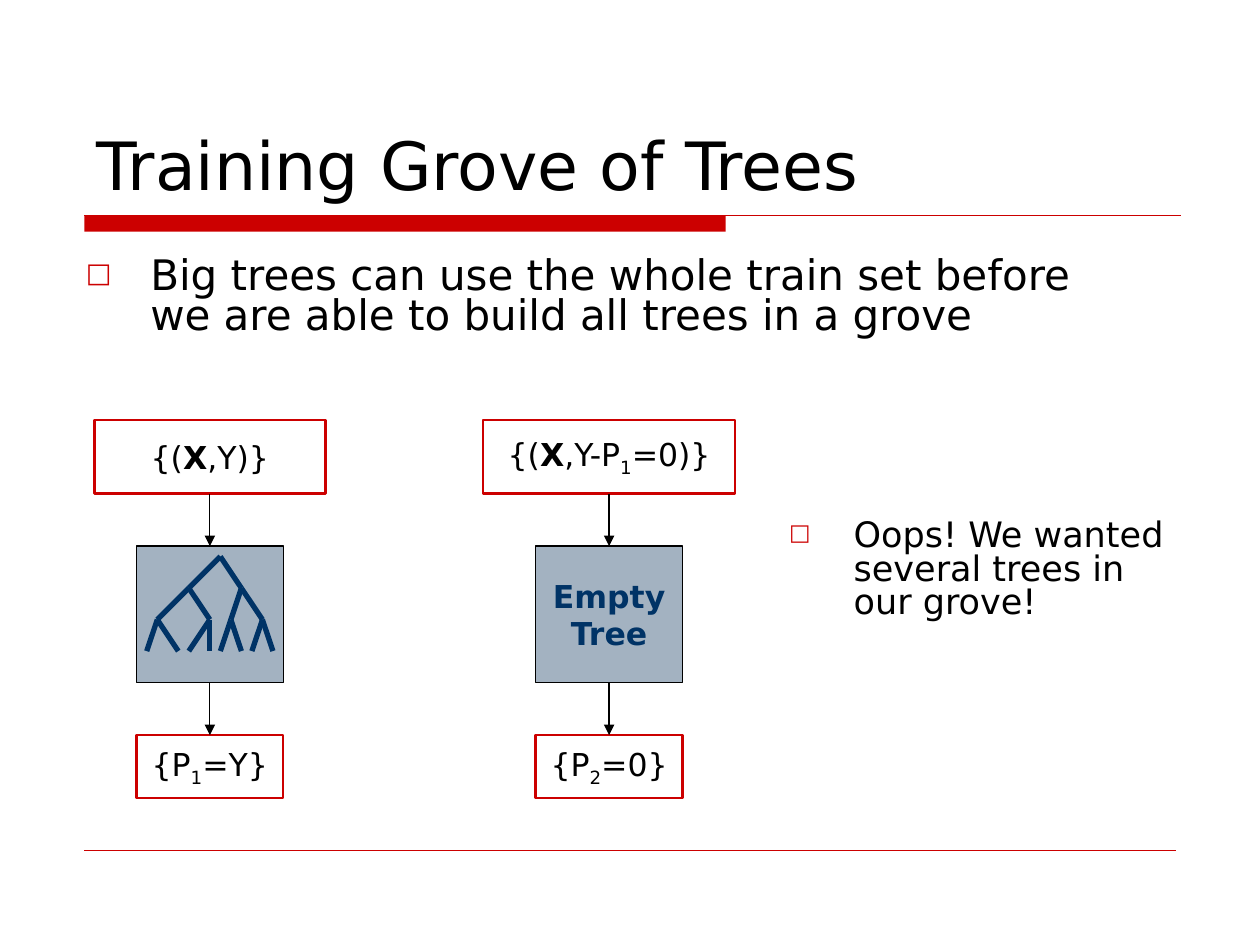
from dataclasses import dataclass
from lxml.etree import SubElement
from pptx import Presentation
from pptx.dml.color import RGBColor
from pptx.enum.shapes import MSO_CONNECTOR, MSO_SHAPE
from pptx.enum.text import MSO_ANCHOR, MSO_AUTO_SIZE, PP_ALIGN
from pptx.oxml.ns import qn
from pptx.util import Cm, Pt


@dataclass(frozen=True)
class Theme:
    font: str = "DejaVu Sans"
    red: RGBColor = RGBColor(0xCC, 0x00, 0x00)
    navy: RGBColor = RGBColor(0x00, 0x33, 0x66)
    slate: RGBColor = RGBColor(0xA3, 0xB2, 0xC1)
    black: RGBColor = RGBColor(0x00, 0x00, 0x00)
    white: RGBColor = RGBColor(0xFF, 0xFF, 0xFF)
    title: int = 38
    claim: int = 24
    remark: int = 20
    label: int = 18


theme = Theme()


def add_runs(paragraph, runs, size, color):
    for text, style in runs:
        run = paragraph.add_run()
        run.text = text
        run.font.name = theme.font
        run.font.size = Pt(size)
        run.font.color.rgb = color
        run.font.bold = style == "bold"
        if style == "sub":
            run._r.get_or_add_rPr().set("baseline", "-25000")


def add_line(start, end, color, width):
    line = slide.shapes.add_connector(
        MSO_CONNECTOR.STRAIGHT, *(Cm(value) for value in (*start, *end)))
    line.line.color.rgb = color
    line.line.width = Pt(width)
    SubElement(line._element.spPr, qn("a:effectLst"))
    return line


deck = Presentation()
deck.slide_width, deck.slide_height = Cm(25.4), Cm(19.05)
slide = deck.slides.add_slide(deck.slide_layouts[5])

title = slide.shapes.title
title.left, title.top, title.width, title.height = Cm(1.7), Cm(0.85), Cm(22.23), Cm(3.39)
title.text_frame.vertical_anchor = MSO_ANCHOR.BOTTOM
title.text_frame.auto_size = MSO_AUTO_SIZE.NONE
heading = title.text_frame.paragraphs[0]
heading.alignment = PP_ALIGN.LEFT
add_runs(heading, [("Training Grove of Trees", "")], theme.title, theme.black)

title_bar = slide.shapes.add_shape(
    MSO_SHAPE.RECTANGLE, Cm(1.7), Cm(4.35), Cm(12.93), Cm(0.32))
title_bar.shadow.inherit = False
title_bar.fill.solid()
title_bar.fill.fore_color.rgb = theme.red
title_bar.line.fill.background()
add_line((1.7, 4.35), (23.8, 4.35), theme.red, 0.75)
add_line((1.7, 17.15), (23.7, 17.15), theme.red, 0.25)

notes = [
    ("Big trees can use the whole train set before we are able to build all trees in a grove",
     (1.48, 5.08, 21.8, 2.75), theme.claim, 6),
    ("Oops! We wanted several trees in our grove!",
     (15.66, 10.37, 8.47, 2.96), theme.remark, 5),
]
for wording, place, size, space in notes:
    note = slide.shapes.add_textbox(*(Cm(value) for value in place))
    note.text_frame.word_wrap = True
    point = note.text_frame.paragraphs[0]
    point.line_spacing = 0.8
    point.space_before = Pt(space)
    properties = point._p.get_or_add_pPr()
    properties.set("marL", str(Cm(1.3)))
    properties.set("indent", str(-Cm(1.3)))
    SubElement(SubElement(properties, qn("a:buClr")), qn("a:srgbClr"), val=str(theme.red))
    SubElement(properties, qn("a:buSzPct"), val="65000")
    SubElement(properties, qn("a:buFont"), typeface=theme.font)
    SubElement(properties, qn("a:buChar"), char="□")
    add_runs(point, [(wording, "")], size, theme.black)

data_row, tree_row, result_row = (8.47, 1.48), (11.01, 2.75), (14.82, 1.27)
tree_width = 2.96
first_center, second_center = 4.23, 12.28
columns = [
    (first_center, 4.66, [("{(", ""), ("X", "bold"), (",Y)}", "")], [],
     [("{P", ""), ("1", "sub"), ("=Y}", "")]),
    (second_center, 5.08,
     [("{(", ""), ("X", "bold"), (",Y-P", ""), ("1", "sub"), ("=0)}", "")],
     [[("Empty", "bold")], [("Tree", "bold")]],
     [("{P", ""), ("2", "sub"), ("=0}", "")]),
]
for center, data_width, data, tree, result in columns:
    stages = [
        (data_row, data_width, [data], theme.white, theme.red, 1.5, theme.black),
        (tree_row, tree_width, tree, theme.slate, theme.black, 0.75, theme.navy),
        (result_row, tree_width, [result], theme.white, theme.red, 1.5, theme.black),
    ]
    previous = None
    for (top, height), width, lines, fill, border, weight, ink in stages:
        box = slide.shapes.add_shape(
            MSO_SHAPE.RECTANGLE, Cm(center - width / 2), Cm(top), Cm(width), Cm(height))
        box.shadow.inherit = False
        box.fill.solid()
        box.fill.fore_color.rgb = fill
        box.line.color.rgb = border
        box.line.width = Pt(weight)
        box.text_frame.word_wrap = False
        box.text_frame.vertical_anchor = MSO_ANCHOR.MIDDLE
        for index, runs in enumerate(lines):
            if index:
                paragraph = box.text_frame.add_paragraph()
            else:
                paragraph = box.text_frame.paragraphs[0]
            paragraph.alignment = PP_ALIGN.CENTER
            add_runs(paragraph, runs, theme.label, ink)
        if previous is not None:
            arrow = add_line((center, top), (center, top), theme.black, 0.75)
            arrow.begin_connect(previous, 2)
            arrow.end_connect(box, 0)
            SubElement(arrow.line._get_or_add_ln(), qn("a:tailEnd"), type="triangle")
        previous = box

root_top, level_height, branch_unit = 11.22, 0.635, 0.212
branch_levels = [
    {1: (-2, 3)},
    {-2: (-5, 0), 3: (2, 5)},
    {-5: (-6, -3), 0: (-2, 0), 2: (1, 3), 5: (4, 6)},
]
for depth, level in enumerate(branch_levels):
    parent_top = root_top + depth * level_height
    for parent, children in level.items():
        for child in children:
            add_line((first_center + parent * branch_unit, parent_top),
                     (first_center + child * branch_unit, parent_top + level_height),
                     theme.navy, 3)

deck.save("out.pptx")
